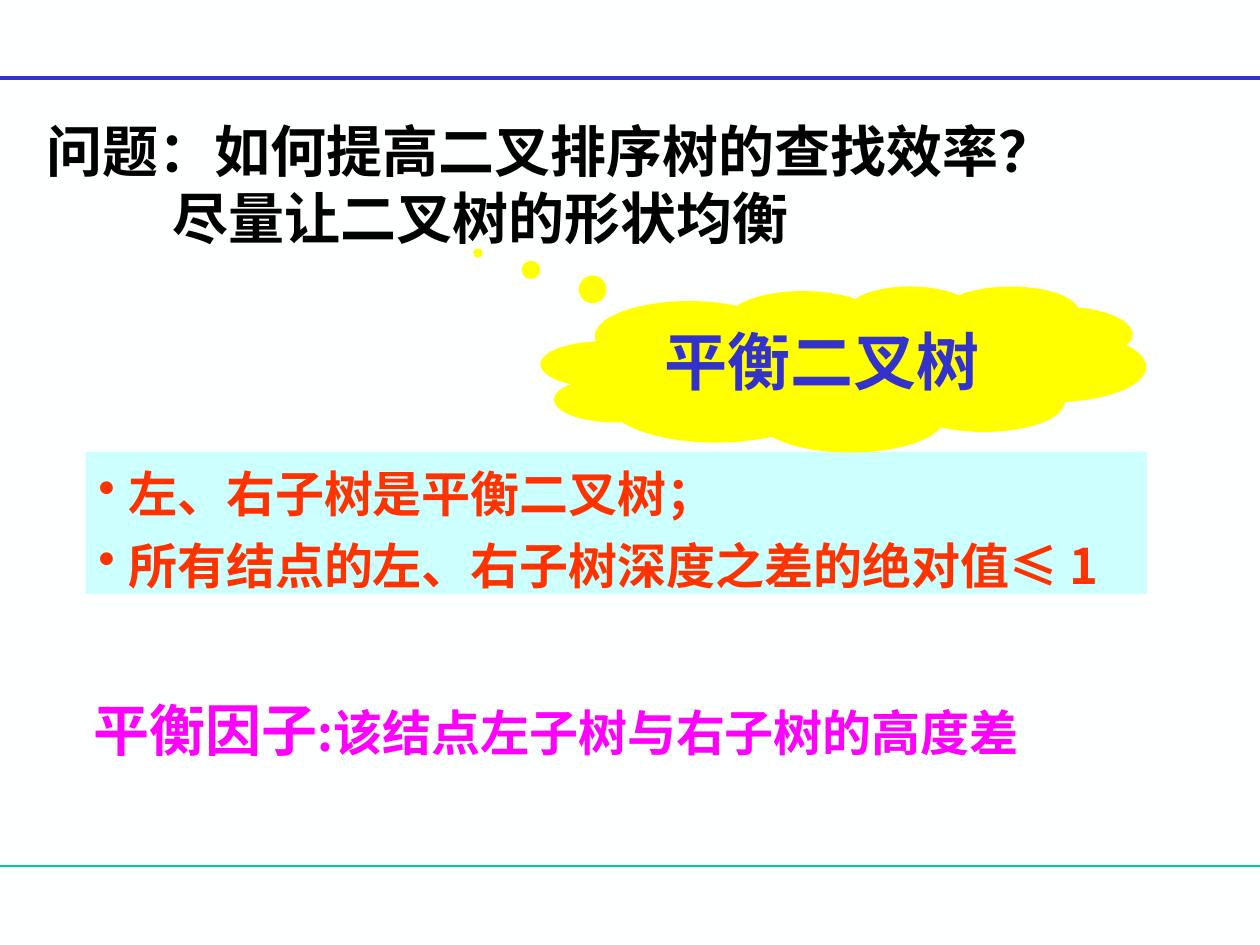
"""Build the slide that introduces balanced binary trees."""
from dataclasses import dataclass
from typing import Optional

from lxml import etree
from pptx import Presentation, util as u
from pptx.dml.color import RGBColor
from pptx.enum import shapes, text
from pptx.oxml import ns

EMU_PER_PX = 914400 / 126
CJK_FONT = "Noto Sans CJK SC"


@dataclass
class Span:
    """A stretch of text in one size."""
    wording: str
    size: int


@dataclass
class Panel:
    """A block of text, with an optional filled outline behind it."""
    left: int
    top: int
    width: int
    height: int
    paragraphs: list[list[Span]]
    color: str
    line_height: float
    inset_top: int
    fill: Optional[str] = None
    outline: Optional[shapes.MSO_SHAPE] = None
    font: str = CJK_FONT
    align: text.PP_ALIGN = text.PP_ALIGN.LEFT
    gap: int = 0
    hanging: int = 0
    tab: int = 0
    pointer: tuple[float, ...] = ()


@dataclass
class Rule:
    """A line across the whole slide."""
    y: int
    color: str
    weight: float


RULES = [Rule(866, "00CC99", 0.75), Rule(78, "3333CC", 2.25)]

PANELS = [
    Panel(34, 106, 1111, 147,
          [[Span("问题：如何提高二叉排序树的查找效率？", 32)],
           [Span("\t尽量让二叉树的形状均衡", 32)]],
          "000000", 38.5, 10, tab=126),
    Panel(86, 452, 1061, 142,
          [[Span("左、右子树是平衡二叉树；", 28)],
           [Span("所有结点的左、右子树深度之差的绝对值≤ 1", 28)]],
          "FF3300", 33.6, 12, "CCFFFF", shapes.MSO_SHAPE.RECTANGLE,
          gap=7, hanging=30),
    Panel(541, 286, 605, 166, [[Span("平衡二叉树", 36)]],
          "3333CC", 43, 12, "FFFF00", shapes.MSO_SHAPE.CLOUD_CALLOUT,
          font="Times New Roman", align=text.PP_ALIGN.CENTER,
          pointer=(-0.604, -0.698)),
    Panel(81, 685, 973, 81,
          [[Span("平衡因子", 32), Span(":该结点左子树与右子树的高度差", 28)]],
          "FF00FF", 33.6, 19),
]


def px(length: int) -> u.Emu:
    """Turn pixels into EMU."""
    return u.Emu(round(length * EMU_PER_PX))


def rgb(value: str) -> RGBColor:
    """Turn a hex string into a colour."""
    return RGBColor.from_string(value)


def add_child(parent, tag: str, **attributes: str):
    """Append a DrawingML element."""
    return etree.SubElement(parent, ns.qn(tag), attributes)


def draw_rule(slide, rule: Rule) -> None:
    """Draw a line from edge to edge."""
    line = slide.shapes.add_connector(
        shapes.MSO_CONNECTOR.STRAIGHT, px(0), px(rule.y), px(1260), px(rule.y))
    line.line.color.rgb = rgb(rule.color)
    line.line.width = u.Pt(rule.weight)
    add_child(line._element.spPr, "a:effectLst")


def write_paragraph(paragraph, spans: list[Span], panel: Panel, first: bool) -> None:
    """Fill one paragraph and format its runs."""
    paragraph.alignment = panel.align
    paragraph.line_spacing = u.Pt(panel.line_height)
    paragraph.space_before = u.Pt(0 if first else panel.gap)
    properties = paragraph._p.get_or_add_pPr()
    if panel.hanging:
        properties.set("marL", str(px(panel.hanging)))
        properties.set("indent", str(-px(panel.hanging)))
        add_child(add_child(properties, "a:buClr"), "a:srgbClr", val=panel.color)
        add_child(properties, "a:buChar", char="•")
    if panel.tab:
        stops = add_child(properties, "a:tabLst")
        add_child(stops, "a:tab", pos=str(px(panel.tab)), algn="l")
    for span in spans:
        run = paragraph.add_run()
        run.text = span.wording
        run.font.size = u.Pt(span.size)
        run.font.bold = True
        run.font.color.rgb = rgb(panel.color)
        run.font.name = panel.font
        add_child(run._r.get_or_add_rPr(), "a:ea", typeface=CJK_FONT)


def draw_panel(slide, panel: Panel) -> None:
    """Draw a panel with its text."""
    place = [px(v) for v in (panel.left, panel.top, panel.width, panel.height)]
    if panel.outline is None:
        body = slide.shapes.add_textbox(*place)
    else:
        body = slide.shapes.add_shape(panel.outline, *place)
        body.shadow.inherit = False
        body.fill.solid()
        body.fill.fore_color.rgb = rgb(panel.fill)
        body.line.fill.background()
    for index, value in enumerate(panel.pointer):
        body.adjustments[index] = value
    frame = body.text_frame
    frame.word_wrap = True
    frame.auto_size = text.MSO_AUTO_SIZE.NONE
    frame.vertical_anchor = text.MSO_ANCHOR.TOP
    frame.margin_left = frame.margin_right = u.Inches(0.1)
    frame.margin_top, frame.margin_bottom = px(panel.inset_top), u.Inches(0.05)
    for index, spans in enumerate(panel.paragraphs):
        paragraph = frame.add_paragraph() if index else frame.paragraphs[0]
        write_paragraph(paragraph, spans, panel, index == 0)


def main() -> None:
    """Build and save the slide."""
    deck = Presentation()
    deck.slide_width, deck.slide_height = px(1260), px(945)
    slide = deck.slides.add_slide(deck.slide_layouts[6])
    slide.background.fill.solid()
    slide.background.fill.fore_color.rgb = rgb("FEFFFF")
    for rule in RULES:
        draw_rule(slide, rule)
    for panel in PANELS:
        draw_panel(slide, panel)
    deck.save("out.pptx")


if __name__ == "__main__":
    main()
